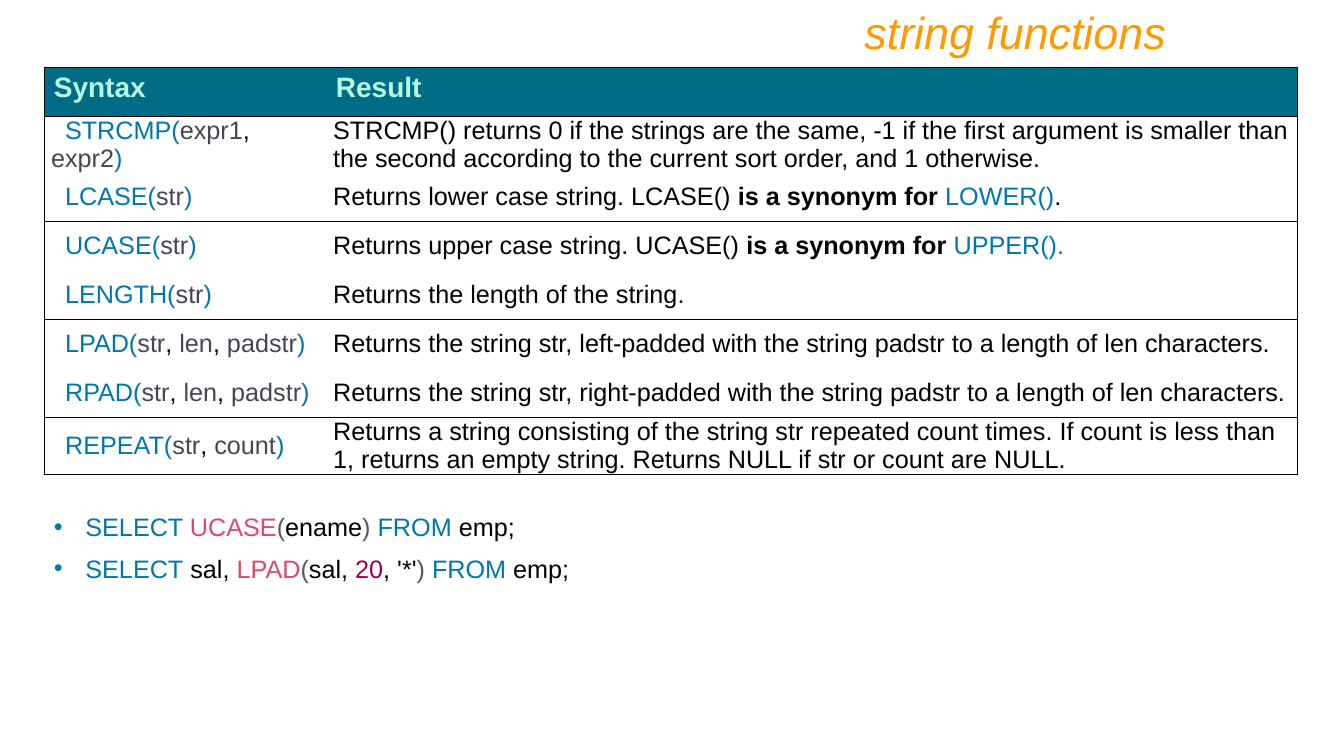
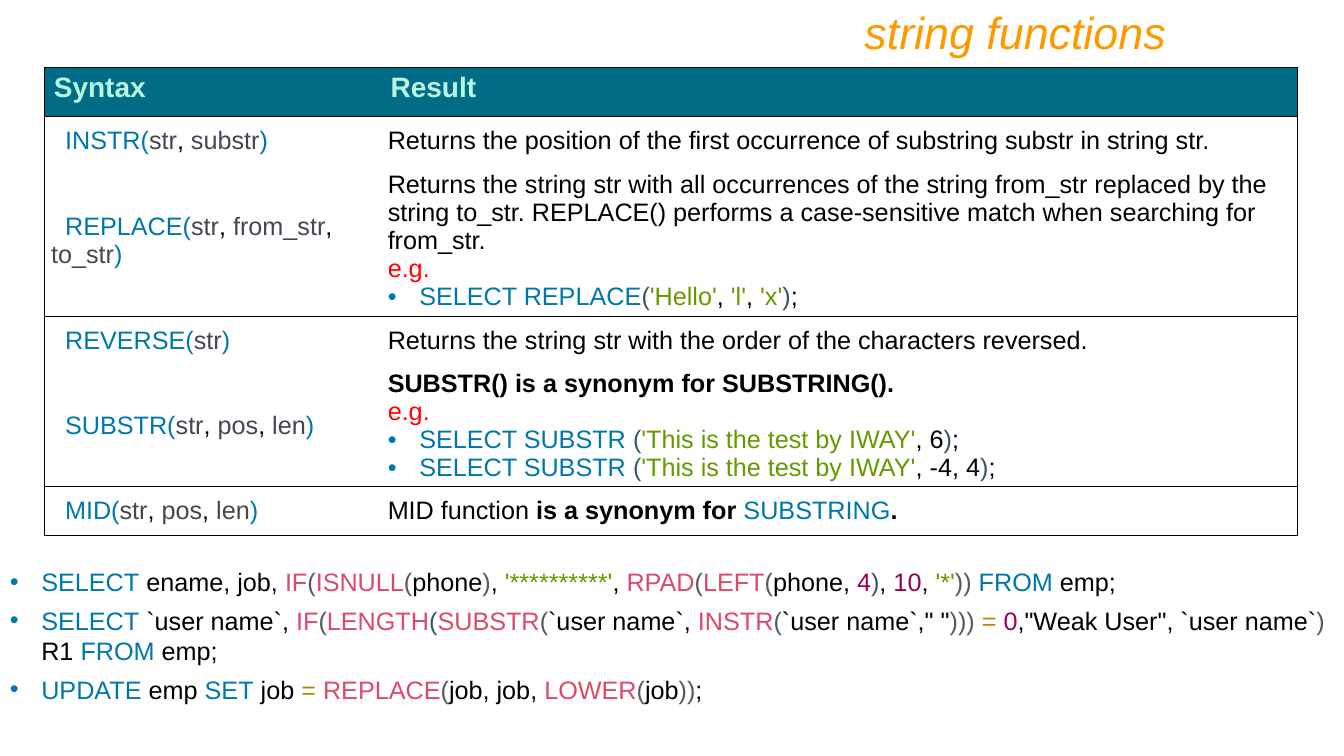
from lxml.etree import SubElement as Sub
from pptx import Presentation as Deck
from pptx.dml.color import RGBColor as RGB
from pptx.enum.text import MSO_ANCHOR as Anchor, PP_ALIGN as Align
from pptx.oxml.ns import qn
from pptx.util import Emu, Pt

PX = 6350
FONT = "Arial"
BLACK = RGB(0x00, 0x00, 0x00)
TEAL = RGB(0x00, 0x6C, 0x86)
MINT = RGB(0xB7, 0xF7, 0xE2)
AMBER = RGB(0xFF, 0x99, 0x00)
BLUE = RGB(0x00, 0x77, 0xAA)
SLATE = RGB(0x46, 0x46, 0x53)
ROSE = RGB(0xDD, 0x4A, 0x68)
GREY = RGB(0x59, 0x59, 0x59)
PINE = RGB(0x36, 0x58, 0x60)
PLUM = RGB(0x99, 0x00, 0x55)
GREEN = RGB(0x66, 0x99, 0x00)
GOLD = RGB(0xB3, 0x88, 0x06)
RED = RGB(0xFF, 0x00, 0x00)

INKS = {"key": BLUE, "arg": SLATE, "fn": ROSE, "par": GREY, "end": PINE,
        "num": PLUM, "str": GREEN, "op": GOLD, "eg": RED}
EDGES = ("lnL", "lnR", "lnT", "lnB")
LEFT, TOP, WIDE, ROW = 63, 96, 1791, 70
HANG = 45

PAGES = [
    {
        "split": 403,
        "rows": [
            ("STRCMP", "expr1, expr2", [
                "STRCMP() returns 0 if the strings are the same, -1 if the first argument is "
                "smaller than the second according to the current sort order, and 1 otherwise."]),
            ("LCASE", "str", [
                "Returns lower case string. LCASE() <bold>is a synonym for <key>LOWER()<k>."]),
            ("UCASE", "str", [
                "Returns upper case string. UCASE() <bold>is a synonym for <key>UPPER()."]),
            ("LENGTH", "str", ["Returns the length of the string."]),
            ("LPAD", "str, len, padstr", [
                "Returns the string str, left-padded with the string padstr to a length of "
                "len characters."]),
            ("RPAD", "str, len, padstr", [
                "Returns the string str, right-padded with the string padstr to a length of "
                "len characters."]),
            ("REPEAT", "str, count", [
                "Returns a string consisting of the string str repeated count times. If count is "
                "less than 1, returns an empty string. Returns NULL if str or count are NULL."]),
        ],
        "box": (63, 724, 1791, 117),
        "gap": 8,
        "code": [
            "•<key>SELECT <fn>UCASE<par>(<k>ename<par>) <key>FROM<k> emp;",
            "•<key>SELECT<k> sal, <fn>LPAD<par>(<k>sal, <num>20<k>, '*'<par>) <key>FROM<k> emp;",
        ],
    },
    {
        "split": 481,
        "rows": [
            ("INSTR", "str, substr", [
                "Returns the position of the first occurrence of substring substr in string str."]),
            ("REPLACE", "str, from_str, to_str", [
                "Returns the string str with all occurrences of the string from_str replaced by "
                "the string to_str. REPLACE() performs a case-sensitive match when searching "
                "for from_str.",
                "<eg>e.g.",
                "•<key>SELECT REPLACE<end>(<str>'Hello'<k>, <str>'l'<k>, <str>'x'<end>)<k>;"]),
            ("REVERSE", "str", [
                "Returns the string str with the order of the characters reversed."]),
            ("SUBSTR", "str, pos, len", [
                "<bold>SUBSTR() is a synonym for SUBSTRING().",
                "<eg>e.g.",
                "•<key>SELECT SUBSTR <end>(<str>'This is the test by IWAY'<k>, 6<end>)<k>;",
                "•<key>SELECT SUBSTR <end>(<str>'This is the test by IWAY'<k>, -4, 4<end>)<k>;"]),
            ("MID", "str, pos, len", [
                "MID function <bold>is a synonym for <key>SUBSTRING<bold>."]),
        ],
        "box": (0, 802, 1920, 164),
        "gap": 6,
        "code": [
            "•<key>SELECT<k> ename, job, <fn>IF<par>(<fn>ISNULL<par>(<k>phone<par>)<k>, "
            "<str>'**********'<k>, <fn>RPAD<par>(<fn>LEFT<par>(<k>phone, <num>4<end>)<k>, "
            "<num>10<k>, <str>'*'<par>)) <key>FROM<k> emp;",
            "•<key>SELECT<k> `user name`, <fn>IF<par>(<fn>LENGTH<end>(<fn>SUBSTR<par>("
            "<k>`user name`, <fn>INSTR<par>(<k>`user name`,\" \"<par>))) <op>= <num>0"
            "<k>,\"Weak User\", `user name`<par>)<k> R1 <key>FROM<k> emp;",
            "•<key>UPDATE<k> emp <key>SET<k> job <op>= <fn>REPLACE<par>(<k>job, job, "
            "<fn>LOWER<par>(<k>job<par>))<k>;",
        ],
    },
]


def write(frame, lines, size=18, ink=BLACK, bold=False, italic=False,
          align=Align.LEFT, gap=0, first=0, pad=(14, 7)):
    frame.word_wrap = True
    for n, line in enumerate(lines):
        para = frame.add_paragraph() if n else frame.paragraphs[0]
        para.alignment = align
        if n and gap:
            para.space_before = Pt(gap)
        props = para._p.get_or_add_pPr()
        if line.startswith("•"):
            props.set("marL", str(HANG * PX))
            props.set("indent", str(-HANG * PX))
            tint = Sub(props, qn("a:buClr"))
            Sub(tint, qn("a:srgbClr"), val=str(BLUE))
            Sub(props, qn("a:buFont"), typeface=FONT)
            Sub(props, qn("a:buChar"), char="•")
        elif first:
            props.set("indent", str(first * PX))
        for part in ("k>" + line.lstrip("•")).split("<"):
            tag, body = part.split(">")
            if body:
                run = para.add_run()
                run.text = body
                font = run.font
                font.name, font.size = FONT, Pt(size)
                font.bold, font.italic = bold or tag == "bold", italic
                font.color.rgb = INKS.get(tag, ink)


def place(item, pad):
    item.margin_left = item.margin_right = Emu(pad[0] * PX)
    item.margin_top = item.margin_bottom = Emu(pad[1] * PX)


deck = Deck()
deck.slide_width, deck.slide_height = Emu(1920 * PX), Emu(1080 * PX)

for page in PAGES:
    slide = deck.slides.add_slide(deck.slide_layouts[6])
    shapes = slide.shapes
    rows = page["rows"]
    last = len(rows)

    area = [Emu(v * PX) for v in (LEFT, TOP, WIDE, ROW * (last + 1))]
    table = shapes.add_table(last + 1, 2, *area).table
    table.first_row = table.horz_banding = False
    for col, wide in zip(table.columns, (page["split"], WIDE - page["split"])):
        col.width = Emu(wide * PX)

    for r, row in enumerate(table.rows):
        row.height = Emu(ROW * PX)
        for c, cell in enumerate(row.cells):
            props = cell._tc.get_or_add_tcPr()
            drawn = (c == 0, c == 1, r == 0 or r % 2 == 1, r == last or r % 2 == 0)
            for edge, shown in zip(EDGES, drawn):
                line = Sub(props, qn("a:" + edge), w=str(Pt(0.75)))
                if shown:
                    fill = Sub(line, qn("a:solidFill"))
                    Sub(fill, qn("a:srgbClr"), val=str(BLACK))
                else:
                    Sub(line, qn("a:noFill"))
            if r == 0:
                cell.fill.solid()
                cell.fill.fore_color.rgb = TEAL
                place(cell, (14, 7))
                write(cell.text_frame, [("Syntax", "Result")[c]], size=20, ink=MINT, bold=True)
                continue
            cell.fill.background()
            cell.vertical_anchor = Anchor.MIDDLE
            place(cell, (10, 0))
            name, args, notes = rows[r - 1]
            if c == 0:
                call = f"<key>{name}(<arg>{args.replace(',', '<k>,<arg>')}<key>)"
                write(cell.text_frame, [call], first=20)
            else:
                write(cell.text_frame, notes)

    title = shapes.add_textbox(*[Emu(v * PX) for v in (240, 0, 1440, 92)]).text_frame
    place(title, (14, 7))
    write(title, ["string functions"], size=32, ink=AMBER, italic=True, align=Align.RIGHT)

    code = shapes.add_textbox(*[Emu(v * PX) for v in page["box"]]).text_frame
    place(code, (14, 7))
    write(code, page["code"], gap=page["gap"])

deck.save("out.pptx")
